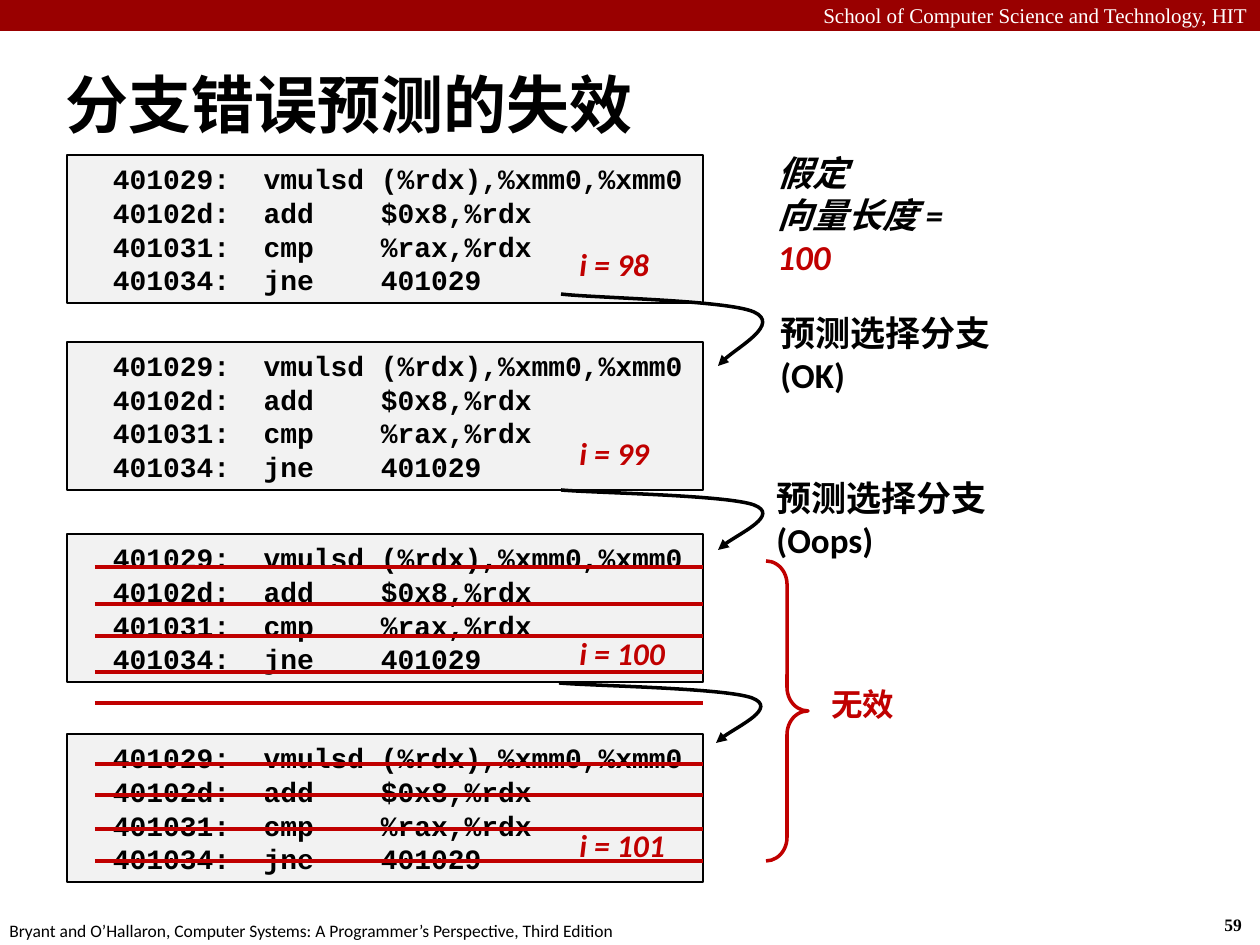
from dataclasses import dataclass

from lxml import etree
from pptx import Presentation
from pptx.dml.color import RGBColor
from pptx.enum.shapes import MSO_CONNECTOR, MSO_SHAPE
from pptx.enum.text import MSO_ANCHOR, PP_ALIGN
from pptx.oxml.ns import qn
from pptx.util import Emu, Pt

RECT = MSO_SHAPE.RECTANGLE
BRACE = MSO_SHAPE.RIGHT_BRACE
STRAIGHT = MSO_CONNECTOR.STRAIGHT
MIDDLE = MSO_ANCHOR.MIDDLE
LEFT, RIGHT = PP_ALIGN.LEFT, PP_ALIGN.RIGHT
UNIT = 914400 / 126


@dataclass(frozen=True)
class Theme:
    ink: str = "000000"
    red: str = "C00000"
    bar: str = "990000"
    pale: str = "F2F2F2"
    white: str = "FFFFFF"
    sans: str = "Calibri"
    serif: str = "Times New Roman"
    mono: str = "Courier New"
    title: int = 36
    note: int = 20
    label: int = 18
    code: int = 16
    head: int = 12
    foot: int = 10
    thin: float = 0.75
    bold: int = 2


T = Theme()

CODE = """  401029:  vmulsd (%rdx),%xmm0,%xmm0
  40102d:  add    $0x8,%rdx
  401031:  cmp    %rax,%rdx
  401034:  jne    401029"""
BLOCKS = [(155, 239, "i = 98", 96), (342, 428, "i = 99", 96),
          (534, 628, "i = 100", 112), (734, 820, "i = 101", 112)]
JUMPS = [(561, 294, 72), (561, 490, 60), (559, 683, 60)]
CURVE = [(32, 0.05), (166, 0.08), (193, 0.25),
         (219, 0.42), (165, 0.83), (157, 1)]
STRIKES = [567, 604, 636, 672, 703, 764, 795, 829, 861]


def px(*vals):
    return [Emu(round(v * UNIT)) for v in vals]


def rgb(code):
    return RGBColor.from_string(code)


def write(frame, text, size, font=T.sans, color=T.ink, bold=False,
          italic=False, align=LEFT, wrap=False, accent=""):
    frame.word_wrap = wrap
    rows = text.split("\n")
    for i, row in enumerate(rows):
        para = frame.paragraphs[0] if i == 0 else frame.add_paragraph()
        para.alignment = align
        parts = [(row, color)]
        if accent and i == len(rows) - 1:
            parts.append((accent, T.red))
        for words, tint in parts:
            run = para.add_run()
            run.text = words
            run.font.name, run.font.size = font, Pt(size)
            run.font.bold, run.font.italic = bold, italic
            run.font.color.rgb = rgb(tint)


def label(slide, area, text, size, **form):
    box = slide.shapes.add_textbox(*px(*area))
    write(box.text_frame, text, size, **form)


def style(shape, fill=None, line=None, width=T.thin):
    shape.shadow.inherit = False
    if fill:
        shape.fill.solid()
        shape.fill.fore_color.rgb = rgb(fill)
    else:
        shape.fill.background()
    if line:
        shape.line.color.rgb = rgb(line)
        shape.line.width = Pt(width)
    else:
        shape.line.fill.background()


def block(slide, top, mark, text, width):
    box = slide.shapes.add_shape(RECT, *px(67, top, 636, 148))
    style(box, T.pale, T.ink)
    write(box.text_frame, CODE, T.code, font=T.mono, bold=True)
    label(slide, (567, mark, width, 50), text, T.label,
          color=T.red, bold=True, italic=True)


def jump(slide, left, top, drop):
    pen = slide.shapes.build_freeform(left, top, scale=UNIT)
    pen.add_line_segments(
        [(left + x, top + round(y * drop)) for x, y in CURVE], close=False)
    shape = pen.convert_to_shape()
    style(shape, line=T.ink, width=T.bold)
    steps = list(shape._element.iter(qn("a:lnTo")))
    for i in range(0, len(steps), 3):
        bend = etree.Element(qn("a:cubicBezTo"))
        steps[i].addprevious(bend)
        for step in steps[i:i + 3]:
            bend.append(step[0])
            step.getparent().remove(step)
    line = shape.line._get_or_add_ln()
    etree.SubElement(line, qn("a:tailEnd"), type="triangle")


def strike(slide, y):
    line = slide.shapes.add_connector(STRAIGHT, *px(95, y, 703, y))
    line.line.color.rgb = rgb(T.red)
    line.line.width = Pt(T.bold)
    etree.SubElement(line._element.spPr, qn("a:effectLst"))


def frame(slide):
    bar = slide.shapes.add_shape(RECT, *px(0, 0, 1260, 31))
    style(bar, T.bar)
    label(slide, (0, -4, 1260, 38),
          "School of Computer Science and Technology, HIT", T.head,
          font=T.serif, color=T.white, align=RIGHT, wrap=True)
    label(slide, (1212, 908, 47, 34), "59", T.foot, font=T.serif, bold=True)
    label(slide, (-3, 914, 640, 34),
          "Bryant and O’Hallaron, Computer Systems: "
          "A Programmer’s Perspective, Third Edition", T.foot)


def head(slide):
    title = slide.shapes.title
    title.left, title.top, title.width, title.height = px(53, 63, 1095, 80)
    title.text_frame.vertical_anchor = MIDDLE
    write(title.text_frame, "分支错误预测的失效", T.title, bold=True, wrap=True)


def notes(slide):
    label(slide, (765, 145, 245, 97), "假定\n向量长度 = ", T.note,
          bold=True, italic=True, wrap=True, accent="100")
    label(slide, (768, 305, 280, 55), "预测选择分支(OK)", T.note,
          bold=True, wrap=True)
    label(slide, (764, 470, 310, 55), "预测选择分支(Oops)", T.note,
          bold=True, wrap=True)
    label(slide, (819, 679, 89, 50), "无效", T.label, color=T.red, bold=True)


def brace(slide):
    shape = slide.shapes.add_shape(BRACE, *px(766, 561, 42, 300))
    shape.adjustments[0] = 0.56
    shape.adjustments[1] = 0.5
    style(shape, line=T.red, width=T.bold)


def main():
    deck = Presentation()
    deck.slide_width, deck.slide_height = px(1260, 945)
    slide = deck.slides.add_slide(deck.slide_layouts[5])
    frame(slide)
    head(slide)
    for item in BLOCKS:
        block(slide, *item)
    for item in JUMPS:
        jump(slide, *item)
    notes(slide)
    for y in STRIKES:
        strike(slide, y)
    brace(slide)
    deck.save("out.pptx")


if __name__ == "__main__":
    main()
